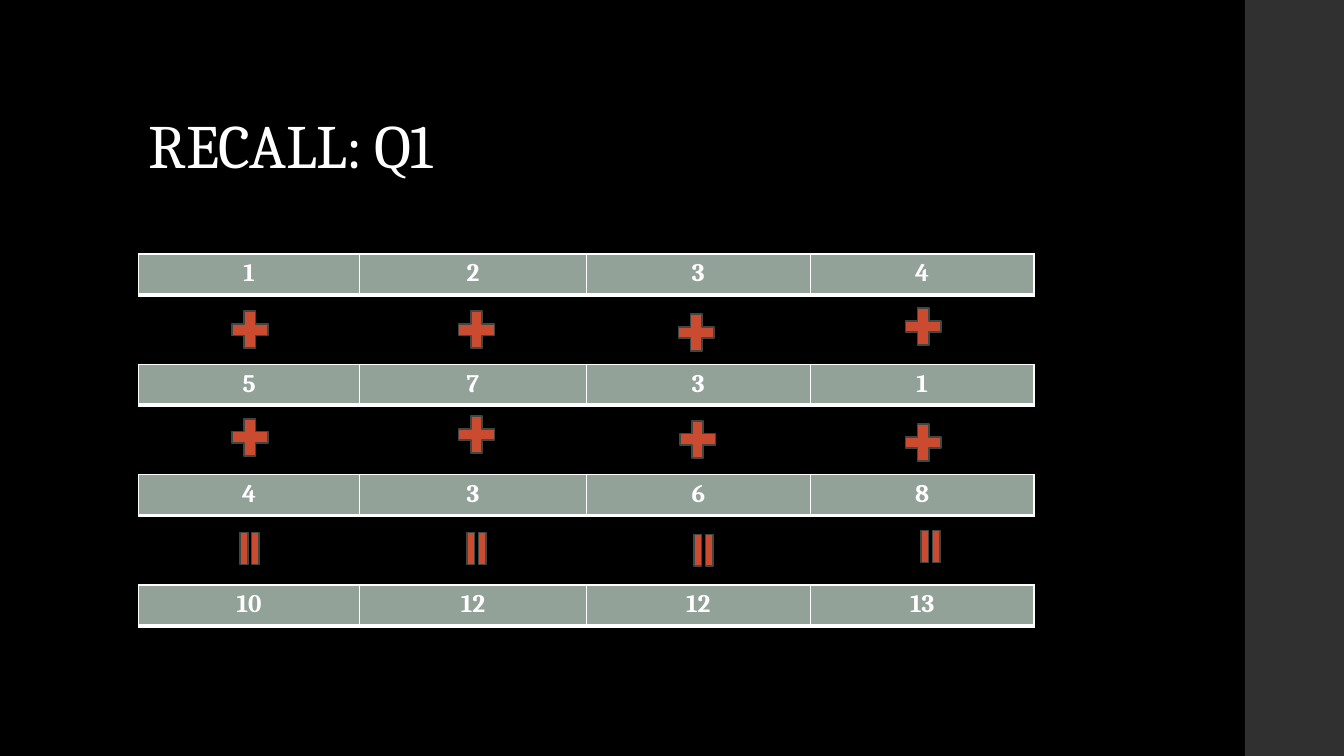
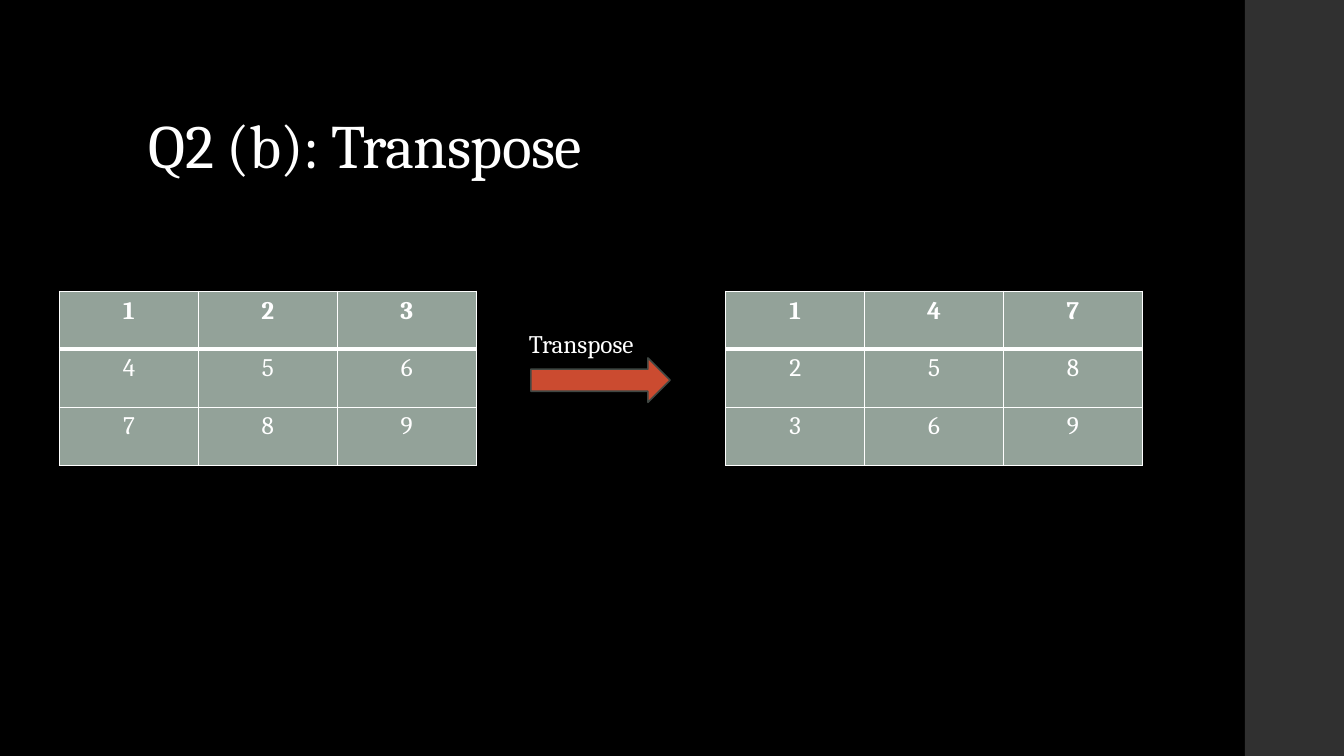
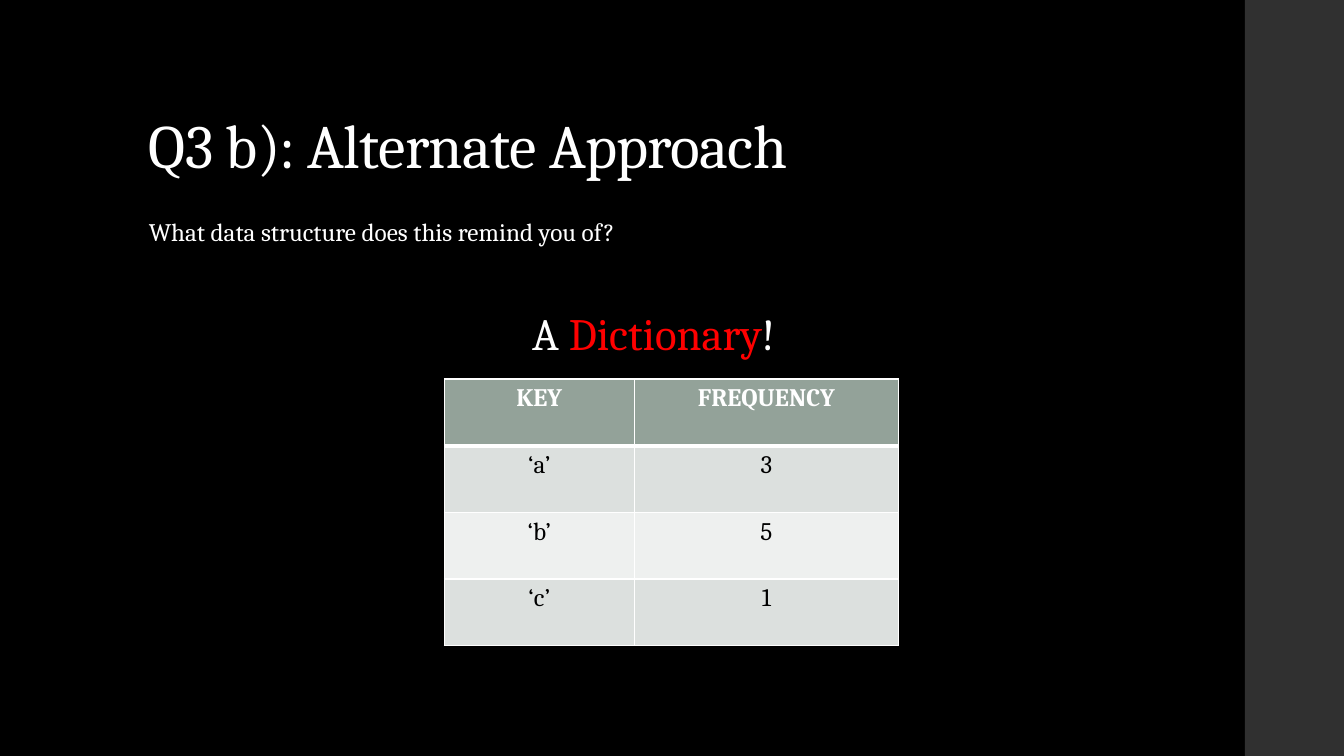
"""Build three tutorial slides on column sums, transposing and dictionaries."""
from dataclasses import dataclass

from pptx import Presentation
from pptx.dml.color import RGBColor
from pptx.enum.shapes import MSO_SHAPE
from pptx.enum.text import MSO_ANCHOR, MSO_AUTO_SIZE, PP_ALIGN
from pptx.oxml.xmlchemy import OxmlElement
from pptx.util import Cm, Pt


@dataclass(frozen=True)
class Theme:
    """Colours, font, type sizes and line widths of the deck."""

    black: str = "000000"
    white: str = "FFFFFF"
    band: str = "303030"
    sage: str = "93A299"
    mist: str = "DCE0DE"
    pale: str = "EEF0EF"
    accent: str = "CB4B30"
    outline: str = "404743"
    red: str = "FF0000"
    font: str = "Cambria"
    title_size: int = 44
    answer_size: int = 32
    body_size: int = 18
    outline_width: float = 1.1
    rule: int = 1
    heavy_rule: int = 3


THEME = Theme()


def rgb(colour):
    """Turn a hex string into a colour."""
    return RGBColor.from_string(colour)


def add_text(paragraph, text, size=THEME.body_size, colour=THEME.white, bold=False, tracking=0):
    """Append formatted text to a paragraph."""
    run = paragraph.add_run()
    run.text = text
    run.font.name = THEME.font
    run.font.size = Pt(size)
    run.font.bold = bold
    run.font.color.rgb = rgb(colour)
    if tracking:
        run._r.get_or_add_rPr().set("spc", str(int(tracking * 100)))


def add_figure(slide, preset, left, top, width, height, fill=THEME.accent, outline=THEME.outline):
    """Draw a preset shape, without a line when outline is None."""
    figure = slide.shapes.add_shape(preset, Cm(left), Cm(top), Cm(width), Cm(height))
    figure.shadow.inherit = False
    figure.fill.solid()
    figure.fill.fore_color.rgb = rgb(fill)
    if outline:
        figure.line.color.rgb = rgb(outline)
        figure.line.width = Pt(THEME.outline_width)
    else:
        figure.line.fill.background()
    return figure


def add_symbols(slide, preset, centres, width, height, rotation=0):
    """Draw the same symbol around each centre."""
    for x, y in centres:
        symbol = add_figure(slide, preset, x - width / 2, y - height / 2, width, height)
        symbol.rotation = rotation


def add_label(slide, left, top, width, height, *pieces):
    """Place one line of text made of (text, format) pieces."""
    label = slide.shapes.add_textbox(Cm(left), Cm(top), Cm(width), Cm(height))
    label.text_frame.word_wrap = False
    label.text_frame.auto_size = MSO_AUTO_SIZE.SHAPE_TO_FIT_TEXT
    for text, style in pieces:
        add_text(label.text_frame.paragraphs[0], text, **style)


def add_border(cell, side, width):
    """Rule one side (L, R, T or B) of a cell in white."""
    border = OxmlElement(f"a:ln{side}")
    border.set("w", str(Pt(width)))
    fill = OxmlElement("a:solidFill")
    colour = OxmlElement("a:srgbClr")
    colour.set("val", THEME.white)
    fill.append(colour)
    border.append(fill)
    cell._tc.get_or_add_tcPr().append(border)


def add_grid(slide, left, top, columns, row_height, rows, body_fills=(THEME.sage,), body_ink=THEME.white):
    """Add a table with a bold header row and cycling body fills."""
    grid = slide.shapes.add_table(
        len(rows), len(columns), Cm(left), Cm(top), Cm(sum(columns)), Cm(row_height * len(rows))
    ).table
    grid.horz_banding = False
    for column, width in zip(grid.columns, columns):
        column.width = Cm(width)
    for r, values in enumerate(rows):
        grid.rows[r].height = Cm(row_height)
        header = r == 0
        fill = THEME.sage if header else body_fills[(r - 1) % len(body_fills)]
        for c, value in enumerate(values):
            cell = grid.cell(r, c)
            for side in "LRTB":
                below_header = (r, side) in ((0, "B"), (1, "T"))
                add_border(cell, side, THEME.heavy_rule if below_header else THEME.rule)
            cell.fill.solid()
            cell.fill.fore_color.rgb = rgb(fill)
            paragraph = cell.text_frame.paragraphs[0]
            paragraph.alignment = PP_ALIGN.CENTER
            add_text(paragraph, str(value), colour=THEME.white if header else body_ink, bold=header)


def add_titled_slide(deck, heading):
    """Add a slide with the side band and the title."""
    slide = deck.slides.add_slide(deck.slide_layouts[5])
    add_figure(slide, MSO_SHAPE.RECTANGLE, 31.37, 0, 2.5, 19.05, fill=THEME.band, outline=None)
    title = slide.shapes.title
    title.left, title.top, title.width, title.height = Cm(3.5), Cm(1.02), Cm(26.92), Cm(3.68)
    frame = title.text_frame
    frame.word_wrap = True
    frame.auto_size = MSO_AUTO_SIZE.NONE
    frame.vertical_anchor = MSO_ANCHOR.BOTTOM
    paragraph = frame.paragraphs[0]
    paragraph.alignment = PP_ALIGN.LEFT
    paragraph.line_spacing = 0.9
    add_text(paragraph, heading, size=THEME.title_size, tracking=-0.5)
    return slide


def add_column_sums(deck):
    """Show three rows of numbers adding up to a fourth."""
    slide = add_titled_slide(deck, "RECALL: Q1")
    addends = [(1, 2, 3, 4), (5, 7, 3, 1), (4, 3, 6, 8)]
    sums = [sum(column) for column in zip(*addends)]
    for i, values in enumerate([*addends, sums]):
        add_grid(slide, 3.5, 6.4 + 2.78 * i, (5.56, 5.72, 5.64, 5.64), 1.03, [values])
    plus_centres = [
        (6.3, 8.31), (12.01, 8.31), (17.55, 8.38), (23.27, 8.23),
        (6.3, 11.02), (12.01, 10.95), (17.58, 11.07), (23.27, 11.15),
    ]
    equals_centres = [(6.29 + 5.72 * i, y) for i, y in enumerate((13.82, 13.82, 13.87, 13.77))]
    add_symbols(slide, MSO_SHAPE.MATH_PLUS, plus_centres, 1.22, 1.27)
    add_symbols(slide, MSO_SHAPE.MATH_EQUAL, equals_centres, 1.09, 0.81, rotation=90)


def add_transpose(deck):
    """Show a matrix beside its transpose."""
    slide = add_titled_slide(deck, "Q2 (b): Transpose")
    matrix = [(1, 2, 3), (4, 5, 6), (7, 8, 9)]
    for left, rows in ((1.5, matrix), (18.29, list(zip(*matrix)))):
        add_grid(slide, left, 7.34, (3.5,) * 3, 1.46, rows)
    add_figure(slide, MSO_SHAPE.RIGHT_ARROW, 13.38, 9.02, 3.51, 1.12)
    add_label(slide, 13.08, 8.15, 3.58, 1.02, ("Transpose", {}))


def add_dictionary(deck):
    """Show letter counts as a dictionary."""
    slide = add_titled_slide(deck, "Q3 b): Alternate Approach")
    add_label(slide, 3.5, 5.33, 13.94, 1.02, ("What data structure does this remind you of?", {}))
    answer = {"size": THEME.answer_size}
    add_label(
        slide, 13.16, 7.59, 7.57, 1.63,
        ("A ", answer), ("Dictionary", {**answer, "colour": THEME.red}), ("!", answer),
    )
    counts = [("KEY", "FREQUENCY"), ("‘a’", 3), ("‘b’", 5), ("‘c’", 1)]
    add_grid(slide, 11.2, 9.55, (4.78, 6.67), 1.68, counts, (THEME.mist, THEME.pale), THEME.black)


def main():
    """Build and save the deck."""
    deck = Presentation()
    deck.slide_width, deck.slide_height = Cm(33.87), Cm(19.05)
    backdrop = deck.slide_master.background.fill
    backdrop.solid()
    backdrop.fore_color.rgb = rgb(THEME.black)
    add_column_sums(deck)
    add_transpose(deck)
    add_dictionary(deck)
    deck.save("out.pptx")


if __name__ == "__main__":
    main()
